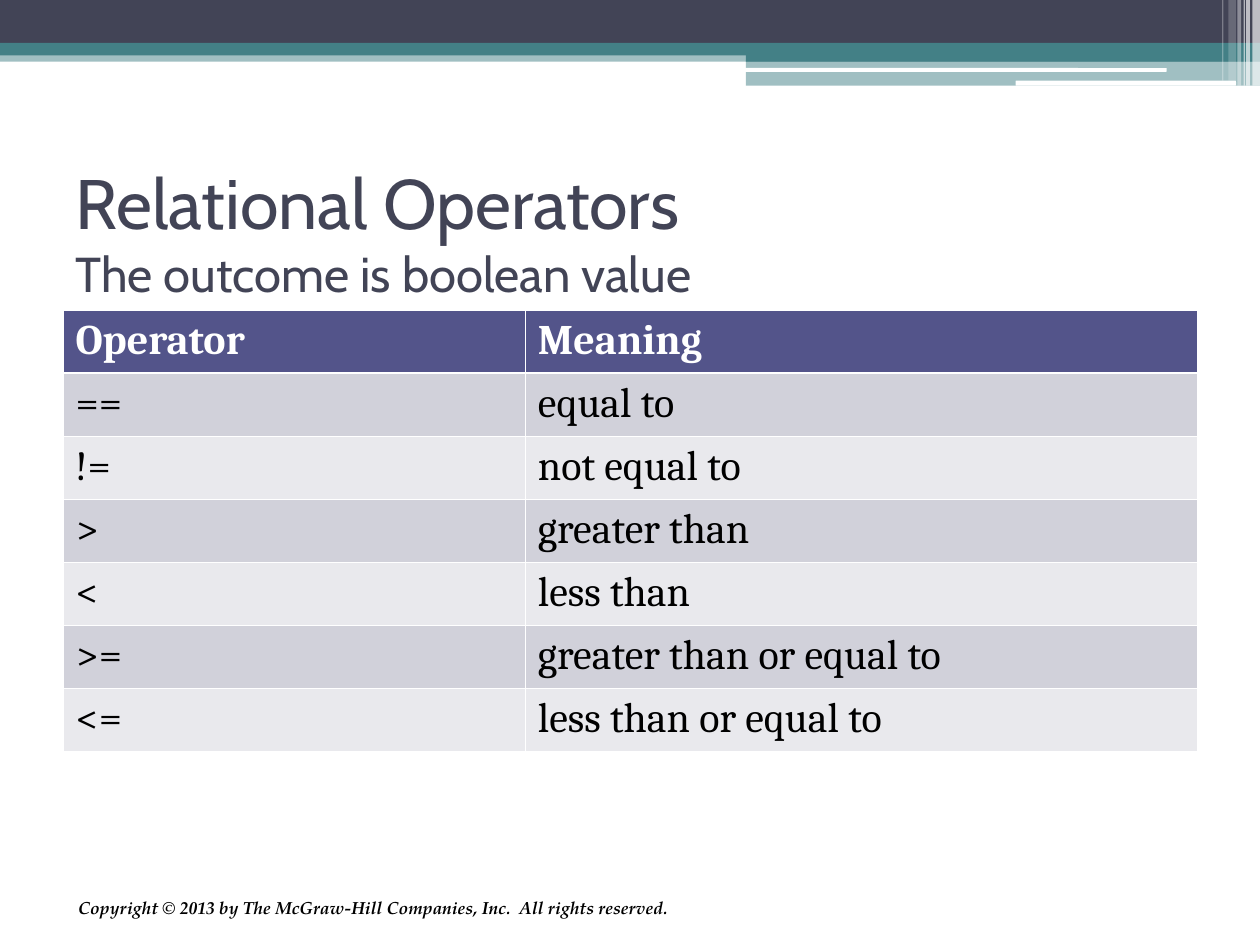
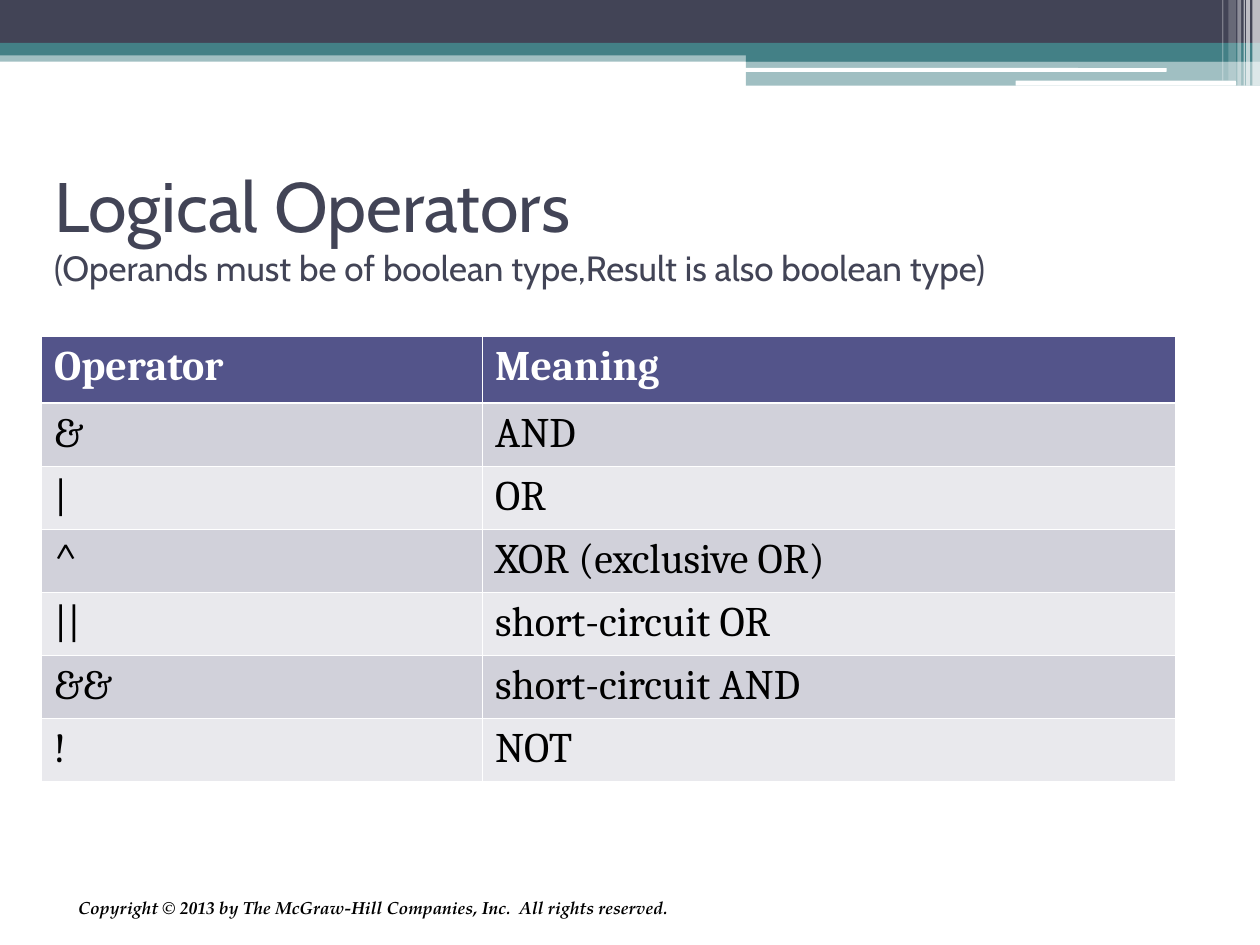
from dataclasses import dataclass

from lxml.etree import SubElement
from pptx import Presentation
from pptx.dml.color import RGBColor
from pptx.enum.shapes import MSO_SHAPE
from pptx.enum.text import MSO_ANCHOR, MSO_AUTO_SIZE, PP_ALIGN
from pptx.oxml.ns import qn
from pptx.util import Inches, Pt


@dataclass(frozen=True)
class Theme:
    slate: str = "424456"
    teal: str = "438086"
    white: str = "FFFFFF"
    black: str = "000000"
    header: str = "53548A"
    dark_row: str = "D1D1DA"
    light_row: str = "E9E9ED"
    title_font: str = "Cabin"
    table_font: str = "Cambria"
    footer_font: str = "TeX Gyre Pagella"
    title_size: int = 40
    table_size: int = 24
    footer_size: int = 10
    thin_rule: float = 0.45
    header_rule: float = 1.47


THEME = Theme()
FOOTER = "Copyright © 2013 by The McGraw-Hill Companies, Inc.  All rights reserved. "

# left, top, width, height, colour, opacity in percent
BANDS = [
    (0, 0.4, 10, 0.09, THEME.teal, 50),
    (0, 0, 10, 0.34, THEME.slate, 100),
    (0, 0.34, 10, 0.1, THEME.teal, 100),
    (5.92, 0.39, 4.08, 0.1, THEME.teal, 100),
    (5.92, 0.48, 4.08, 0.2, THEME.teal, 50),
    (5.91, 0.54, 3.35, 0.03, THEME.white, 100),
    (8.06, 0.64, 1.75, 0.04, THEME.white, 100),
]
# left, width, height, opacity of the white stripes at the right edge
STRIPES = [
    (9.94, 0.06, 0.68, 65), (9.89, 0.03, 0.68, 65), (9.87, 0.01, 0.68, 60),
    (9.82, 0.03, 0.68, 40), (9.75, 0.06, 0.64, 20), (9.7, 0.01, 0.64, 30),
]
BANDS += [(left, 0, width, height, THEME.white, opacity)
          for left, width, height, opacity in STRIPES]

SLIDES = [
    {
        "title": "Relational Operators",
        "subtitle": "The outcome is boolean value",
        "subtitle_size": 28,
        "title_box": (0.5, 1.25, 9, 1.17),
        "table_at": (0.5, 2.46),
        "columns": (3.67, 5.33),
        "header_height": 0.5,
        "operators": [
            ("==", "equal to"), ("!=", "not equal to"),
            (">", "greater than"), ("<", "less than"),
            (">=", "greater than or equal to"), ("<=", "less than or equal to"),
        ],
    },
    {
        "title": "Logical Operators",
        "subtitle": "(Operands must be of boolean type,Result is also boolean type)",
        "subtitle_size": 20,
        "title_box": (0.33, 1, 9.58, 1.58),
        "table_at": (0.33, 2.67),
        "columns": (3.5, 5.5),
        "header_height": 0.53,
        "operators": [
            ("&", "AND"), ("|", "OR"), ("^", "XOR (exclusive OR)"),
            ("||", "short-circuit OR"), ("&&", "short-circuit AND"), ("!", "NOT"),
        ],
    },
]
ROW_HEIGHT = 0.5


def add_span(para, text, font, size, color, bold=False, italic=False):
    span = para.add_run()
    span.text = text
    span.font.name = font
    span.font.size = Pt(size)
    span.font.color.rgb = RGBColor.from_string(color)
    span.font.bold = bold
    span.font.italic = italic


def add_cell_border(cell, side, points):
    """Draw one white edge; call before the cell gets its fill."""
    line = SubElement(cell._tc.get_or_add_tcPr(), qn(f"a:ln{side}"), w=str(Pt(points)))
    fill = SubElement(line, qn("a:solidFill"))
    SubElement(fill, qn("a:srgbClr"), val=THEME.white)


deck = Presentation()
deck.slide_width, deck.slide_height = Inches(10), Inches(7.5)
title_only = deck.slide_layouts[5]

for content in SLIDES:
    slide = deck.slides.add_slide(title_only)

    # Top bands
    for left, top, width, height, color, opacity in BANDS:
        rounded = color == THEME.white and width > 1
        kind = MSO_SHAPE.ROUNDED_RECTANGLE if rounded else MSO_SHAPE.RECTANGLE
        band = slide.shapes.add_shape(
            kind, Inches(left), Inches(top), Inches(width), Inches(height))
        band.shadow.inherit = False
        band.line.fill.background()
        band.fill.solid()
        band.fill.fore_color.rgb = RGBColor.from_string(color)
        if opacity < 100:
            tint = band._element.spPr.find(f".//{qn('a:srgbClr')}")
            SubElement(tint, qn("a:alpha"), val=str(opacity * 1000))

    # Title with its smaller second line
    title = slide.shapes.title
    title.left, title.top, title.width, title.height = map(Inches, content["title_box"])
    frame = title.text_frame
    frame.auto_size = MSO_AUTO_SIZE.NONE
    frame.vertical_anchor = MSO_ANCHOR.MIDDLE
    para = frame.paragraphs[0]
    para.alignment = PP_ALIGN.LEFT
    add_span(para, content["title"], THEME.title_font, THEME.title_size, THEME.slate)
    para.add_line_break()
    SubElement(para._p[-1], qn("a:rPr"), sz=str(THEME.title_size * 100))
    add_span(para, content["subtitle"], THEME.title_font,
             content["subtitle_size"], THEME.slate)

    # Operator table
    rows = [("Operator", "Meaning")] + content["operators"]
    heights = [content["header_height"]] + [ROW_HEIGHT] * len(content["operators"])
    left, top = content["table_at"]
    table = slide.shapes.add_table(
        len(rows), 2, Inches(left), Inches(top),
        Inches(sum(content["columns"])), Inches(sum(heights))).table
    for column, width in zip(table.columns, content["columns"]):
        column.width = Inches(width)
    for r, (row, height) in enumerate(zip(rows, heights)):
        table.rows[r].height = Inches(height)
        is_header = r == 0
        row_color = THEME.dark_row if r % 2 else THEME.light_row
        for c, text in enumerate(row):
            cell = table.cell(r, c)
            add_cell_border(cell, "L", THEME.thin_rule)
            add_cell_border(cell, "R", THEME.thin_rule)
            add_cell_border(cell, "T", THEME.header_rule if r == 1 else THEME.thin_rule)
            add_cell_border(cell, "B", THEME.header_rule if is_header else THEME.thin_rule)
            cell.fill.solid()
            cell.fill.fore_color.rgb = RGBColor.from_string(
                THEME.header if is_header else row_color)
            add_span(cell.text_frame.paragraphs[0], text, THEME.table_font,
                     THEME.table_size, THEME.white if is_header else THEME.black,
                     bold=is_header)

    # Footer
    box = slide.shapes.add_textbox(Inches(0.33), Inches(7.08), Inches(5.09), Inches(0.42))
    frame = box.text_frame
    frame.word_wrap = True
    frame.margin_left = frame.margin_right = Inches(0.09)
    frame.margin_top = frame.margin_bottom = Inches(0.04)
    para = frame.paragraphs[0]
    para.alignment = PP_ALIGN.RIGHT
    add_span(para, FOOTER, THEME.footer_font, THEME.footer_size, THEME.black,
             bold=True, italic=True)

deck.save("out.pptx")
